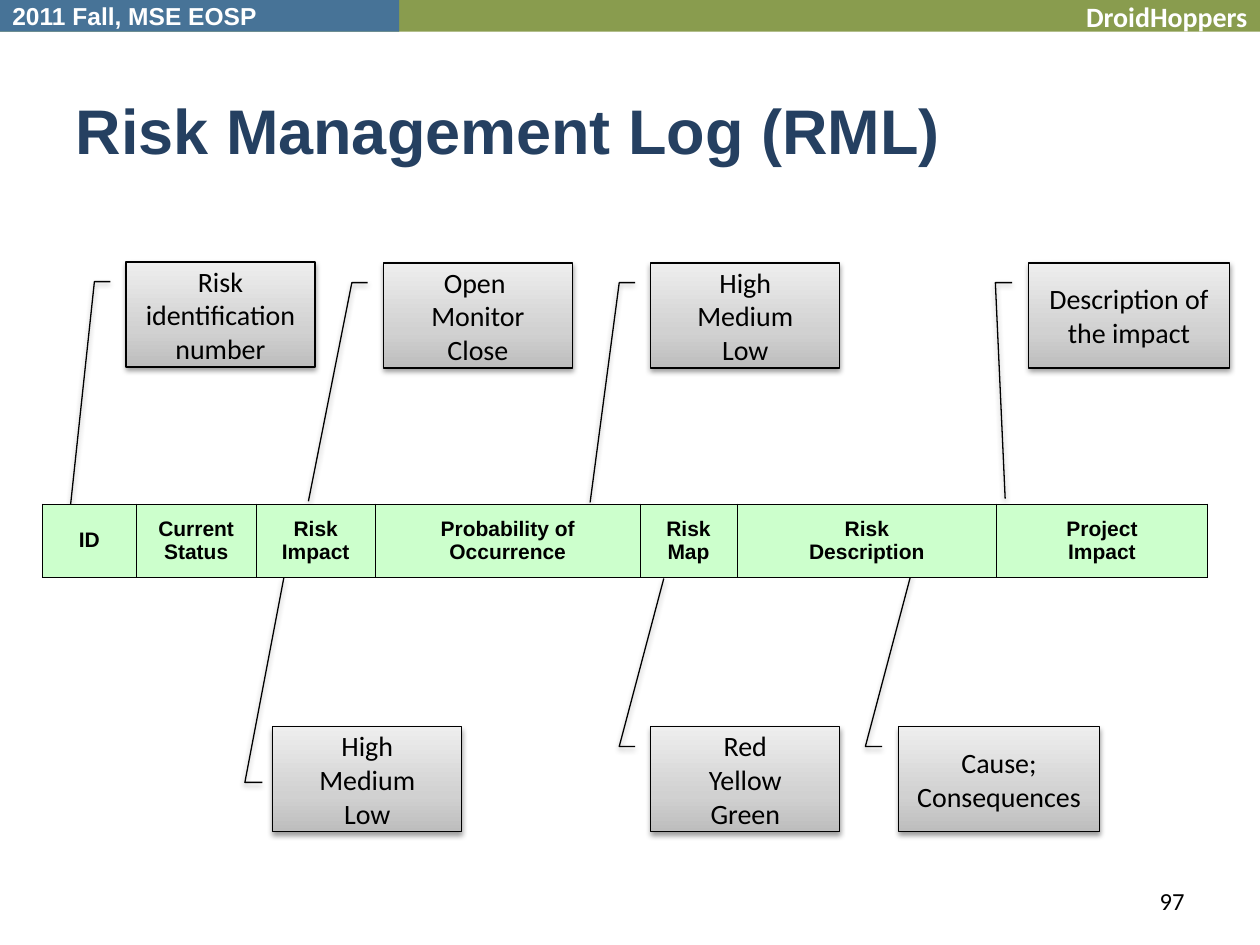
import copy
import dataclasses

import lxml.etree
import pptx
import pptx.dml.color
import pptx.enum.shapes
import pptx.enum.text
import pptx.oxml.ns
import pptx.util

Cm, Pt = pptx.util.Cm, pptx.util.Pt
RGB = pptx.dml.color.RGBColor.from_string
SHAPE = pptx.enum.shapes.MSO_SHAPE
ALIGN = pptx.enum.text.PP_ALIGN
MIDDLE = pptx.enum.text.MSO_ANCHOR.MIDDLE


@dataclasses.dataclass(frozen=True)
class Theme:
    green: str = "899C4E"
    blue: str = "477397"
    cell: str = "CCFFCC"
    line: str = "000000"
    shade: tuple = ((0, "BDBDBD"), (0.35, "D1D1D1"), (1, "EEEEEE"))
    team: tuple = ("Calibri", 16, True, "FFFFFF")
    term: tuple = ("Arial", 14, True, "FFFFFF")
    title: tuple = ("Arial", 36, True, "254061")
    note: tuple = ("Calibri", 16, False, "000000")
    head: tuple = ("Arial", 12, True, "000000")
    page: tuple = ("Calibri", 14, False, "000000")


THEME = Theme()

# Text, left, top, width, and callout adjustments (y, x pairs from box to table)
HIGH, LOW, NARROW, WIDE, TALL = 5.3, 14.65, 3.81, 4.04, 2.12
BEND = (0.188, -0.083, 0.188, -0.167)
NOTES = (
    (["Risk identification number"], 2.54, 5.28, NARROW, (*BEND, 2.308, -0.293)),
    (["Open ", "Monitor", "Close"], 7.73, HIGH, NARROW, (*BEND, 2.267, -0.397)),
    (["High", "Medium", "Low"], 5.5, LOW, NARROW,
     (0.53, -0.055, 0.53, -0.148, -1.419, 0.059)),
    (["High", "Medium", "Low"], 13.12, HIGH, NARROW, (*BEND, 2.278, -0.321)),
    (["Red", "Yellow", "Green"], 13.12, LOW, NARROW, (*BEND, -1.409, 0.069)),
    (["Cause; Consequences"], 18.12, LOW, WIDE, (*BEND, -1.455, 0.062)),
    (["Description of the impact"], 20.74, HIGH, WIDE, (*BEND, 2.242, -0.118)),
)
FIELDS = (
    ("ID", 1.9), ("Current\nStatus", 2.41), ("Risk\nImpact", 2.41),
    ("Probability of\nOccurrence", 5.33), ("Risk\nMap", 1.96),
    ("Risk\nDescription", 5.23), ("Project\nImpact", 4.25),
)


def write(frame, lines, style, align):
    """Fill a text frame with one paragraph for each line."""
    name, size, bold, color = style
    font = {"name": name, "size": Pt(size), "bold": bold}
    frame.word_wrap = True
    frame.vertical_anchor = MIDDLE
    for i, line in enumerate(lines):
        para = frame.paragraphs[0] if i == 0 else frame.add_paragraph()
        para.text = line
        para.alignment = align
        for run in para.runs:
            for key, value in font.items():
                setattr(run.font, key, value)
            run.font.color.rgb = RGB(color)


def node(parent, tag, **attrs):
    """Append a DrawingML element."""
    full = pptx.oxml.ns.qn("a:" + tag)
    return lxml.etree.SubElement(parent, full, attrs)


def add_bar(slide, box, color, text, style, align):
    bar = slide.shapes.add_shape(SHAPE.RECTANGLE, *map(Cm, box))
    bar.shadow.inherit = False
    bar.fill.solid()
    bar.fill.fore_color.rgb = RGB(color)
    bar.line.fill.background()
    write(bar.text_frame, [text], style, align)


def add_header(slide, left, top, width, height):
    add_bar(slide, (left, top, width, height), THEME.green,
            "DroidHoppers", THEME.team, ALIGN.RIGHT)
    add_bar(slide, (left, top, 8.05, height), THEME.blue,
            "2011 Fall, MSE EOSP", THEME.term, ALIGN.LEFT)


def add_title(slide, *box):
    title = slide.shapes.title
    for key, value in zip(("left", "top", "width", "height"), box):
        setattr(title, key, Cm(value))
    write(title.text_frame, ["Risk Management Log (RML)"], THEME.title, ALIGN.LEFT)


def add_shade(fill):
    fill.gradient()
    fill.gradient_angle = 90
    first = fill.gradient_stops[0]._gs
    first.addnext(copy.deepcopy(first))
    for stop, (place, color) in zip(fill.gradient_stops, THEME.shade):
        stop.position = place
        stop.color.rgb = RGB(color)


def add_note(slide, lines, left, top, width, bends):
    """Add a callout box whose bent line points at the table."""
    box = map(Cm, (left, top, width, TALL))
    note = slide.shapes.add_shape(SHAPE.LINE_CALLOUT_2, *box)
    for i, bend in enumerate(bends):
        note.adjustments[i] = bend
    add_shade(note.fill)
    note.line.color.rgb = RGB(THEME.line)
    note.line.width = Pt(0.75)
    note.shadow.inherit = False
    effects = note._element.spPr.find(pptx.oxml.ns.qn("a:effectLst"))
    cast = node(effects, "outerShdw", blurRad="40000", dist="20000",
                dir="5400000", rotWithShape="0")
    node(node(cast, "srgbClr", val=THEME.line), "alpha", val="38000")
    write(note.text_frame, lines, THEME.note, ALIGN.CENTER)


def add_log(slide, left, top, height):
    width = sum(size for _, size in FIELDS)
    box = map(Cm, (left, top, width, height))
    table = slide.shapes.add_table(1, len(FIELDS), *box).table
    for i, (text, size) in enumerate(FIELDS):
        table.columns[i].width = Cm(size)
        cell = table.cell(0, i)
        for side in ("left", "right", "top", "bottom"):
            setattr(cell, "margin_" + side, 0)
        write(cell.text_frame, [text], THEME.head, ALIGN.CENTER)
        cell.vertical_anchor = MIDDLE
        props = cell._tc.get_or_add_tcPr()
        for edge in ("lnL", "lnR", "lnT", "lnB"):
            line = node(props, edge, w=str(Pt(0.5)))
            node(node(line, "solidFill"), "srgbClr", val=THEME.line)
        cell.fill.solid()
        cell.fill.fore_color.rgb = RGB(THEME.cell)


def add_page(slide, *box):
    page = slide.shapes.add_textbox(*map(Cm, box))
    write(page.text_frame, ["97"], THEME.page, ALIGN.RIGHT)


def main():
    deck = pptx.Presentation()
    deck.slide_width, deck.slide_height = Cm(25.4), Cm(19.05)
    slide = deck.slides.add_slide(deck.slide_layouts[5])
    add_header(slide, 0, 0, 25.4, 0.64)
    for note in NOTES:
        add_note(slide, *note)
    add_title(slide, 1.27, 1.4, 22.86, 2.41)
    add_page(slide, 18.2, 17.65, 5.93, 1.01)
    add_log(slide, 0.85, 10.16, 1.47)
    deck.save("out.pptx")


if __name__ == "__main__":
    main()
